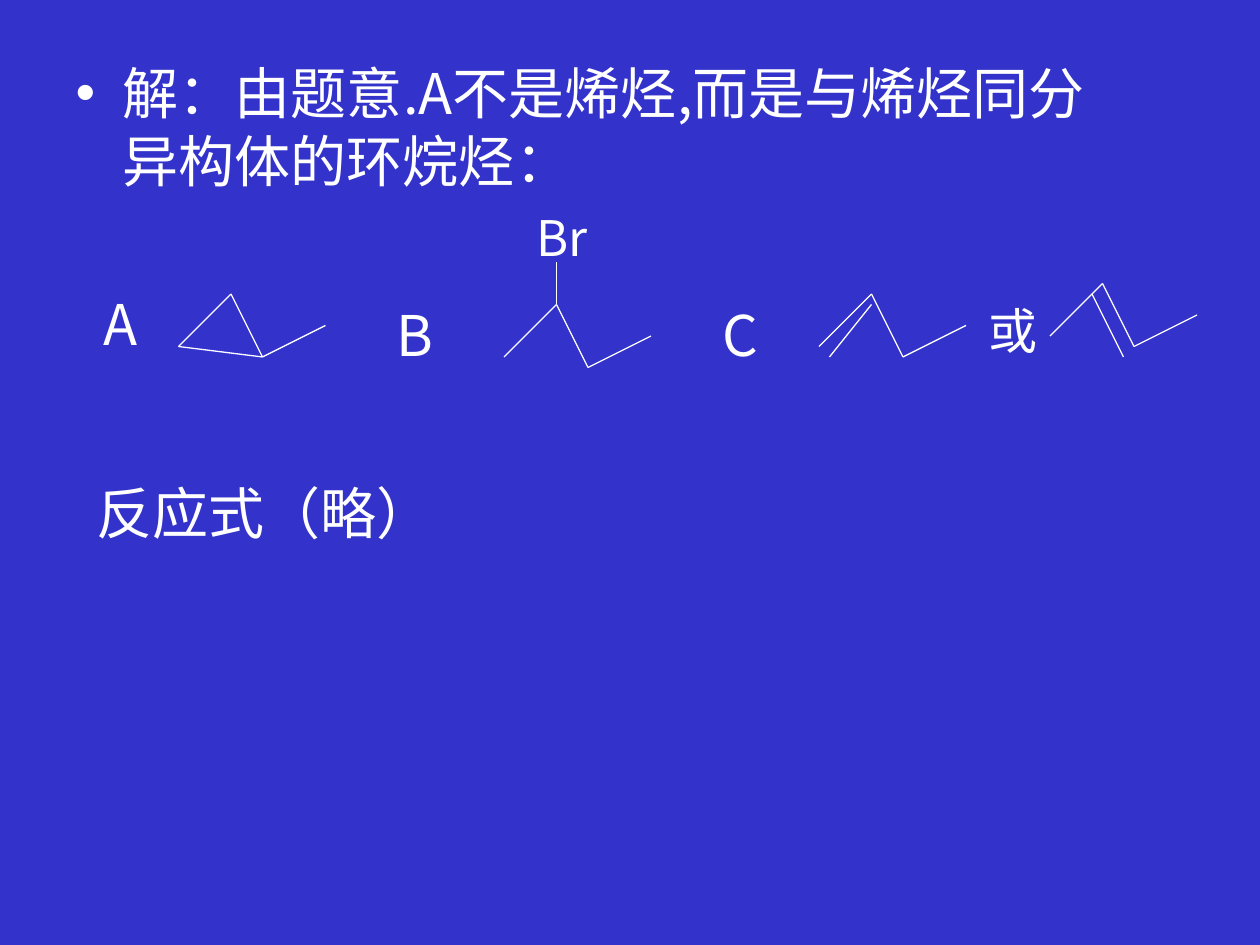
from dataclasses import dataclass

from lxml import etree
from pptx import Presentation
from pptx.dml.color import RGBColor
from pptx.enum.shapes import MSO_CONNECTOR
from pptx.enum.text import MSO_ANCHOR, MSO_AUTO_SIZE, PP_ALIGN
from pptx.oxml.ns import qn
from pptx.util import Pt

STRAIGHT = MSO_CONNECTOR.STRAIGHT
TOP = MSO_ANCHOR.TOP
FIT_SHAPE = MSO_AUTO_SIZE.SHAPE_TO_FIT_TEXT
NO_FIT = MSO_AUTO_SIZE.NONE
JUSTIFY = PP_ALIGN.JUSTIFY


@dataclass(frozen=True)
class Theme:
    background: RGBColor = RGBColor(0x33, 0x33, 0xCC)
    ink: RGBColor = RGBColor(0xFF, 0xFF, 0xFF)
    font: str = "Noto Sans CJK SC"
    body_size: int = 32
    small_size: int = 28
    bond_width: float = 0.75


THEME = Theme()

CHAIN = [((30, 0), (0, 30)), ((30, 0), (48, 36)), ((48, 36), (84, 18))]

MOLECULES = [
    {"origin": (102, 168), "bond": ((0, 30), (48, 36)),
     "labels": [("A", (-50, -6, 34.5, 46), THEME.body_size)]},
    {"origin": (288, 174), "bond": ((30, -24), (30, 0)),
     "labels": [("B", (-68.4, -6, 35.3, 46), THEME.body_size),
                ("Br", (11.5, -58.8, 44, 41), THEME.small_size)]},
    {"origin": (468, 168), "bond": ((6, 36), (30, 6)),
     "labels": [("C", (-62, 0, 34.5, 46), THEME.body_size)]},
    {"origin": (600, 162), "bond": ((24, 6), (42, 42)),
     "labels": [("或", (-42, 6, 42.5, 41), THEME.small_size)]},
]


def format_text(paragraph, size):
    for run in paragraph.runs:
        run.font.size = Pt(size)
        run.font.name = THEME.font
        run.font.color.rgb = THEME.ink
        east_asian = etree.SubElement(run.font._element, qn("a:ea"))
        east_asian.set("typeface", THEME.font)


def add_label(slide, text, box, size, wrap=False):
    shape = slide.shapes.add_textbox(*map(Pt, box))
    text_frame = shape.text_frame
    text_frame.text = text
    text_frame.word_wrap = wrap
    text_frame.auto_size = FIT_SHAPE
    format_text(text_frame.paragraphs[0], size)
    return shape


def add_bond(slide, origin, start, end):
    left, top = origin
    connector = slide.shapes.add_connector(
        STRAIGHT,
        Pt(left + start[0]), Pt(top + start[1]),
        Pt(left + end[0]), Pt(top + end[1]),
    )
    connector.line.color.rgb = THEME.ink
    connector.line.width = Pt(THEME.bond_width)
    etree.SubElement(connector._element.spPr, qn("a:effectLst"))


def add_molecule(slide, origin, bond, labels):
    for start, end in [*CHAIN, bond]:
        add_bond(slide, origin, start, end)
    for text, (left, top, width, height), size in labels:
        box = (origin[0] + left, origin[1] + top, width, height)
        add_label(slide, text, box, size)


def fill_statement(slide, box):
    shape = slide.placeholders[1]
    shape.left, shape.top, shape.width, shape.height = map(Pt, box)
    text_frame = shape.text_frame
    text_frame.text = "解：由题意.A不是烯烃,而是与烯烃同分异构体的环烷烃："
    text_frame.auto_size = NO_FIT
    text_frame.vertical_anchor = TOP
    paragraph = text_frame.paragraphs[0]
    paragraph.space_before = Pt(0)
    format_text(paragraph, THEME.body_size)


def add_closing(slide, box):
    shape = add_label(slide, "反应式（略）", box, THEME.body_size, wrap=True)
    shape.text_frame.paragraphs[0].alignment = JUSTIFY


def main():
    presentation = Presentation()
    presentation.slide_width = Pt(720)
    presentation.slide_height = Pt(540)
    slide = presentation.slides.add_slide(presentation.slide_layouts[1])
    title = slide.shapes.title._element
    title.getparent().remove(title)
    background = slide.background.fill
    background.solid()
    background.fore_color.rgb = THEME.background

    fill_statement(slide, (36, 30, 612, 96))
    for molecule in MOLECULES:
        add_molecule(slide, **molecule)
    add_closing(slide, (48, 270, 318, 46))
    presentation.save("out.pptx")


if __name__ == "__main__":
    main()
